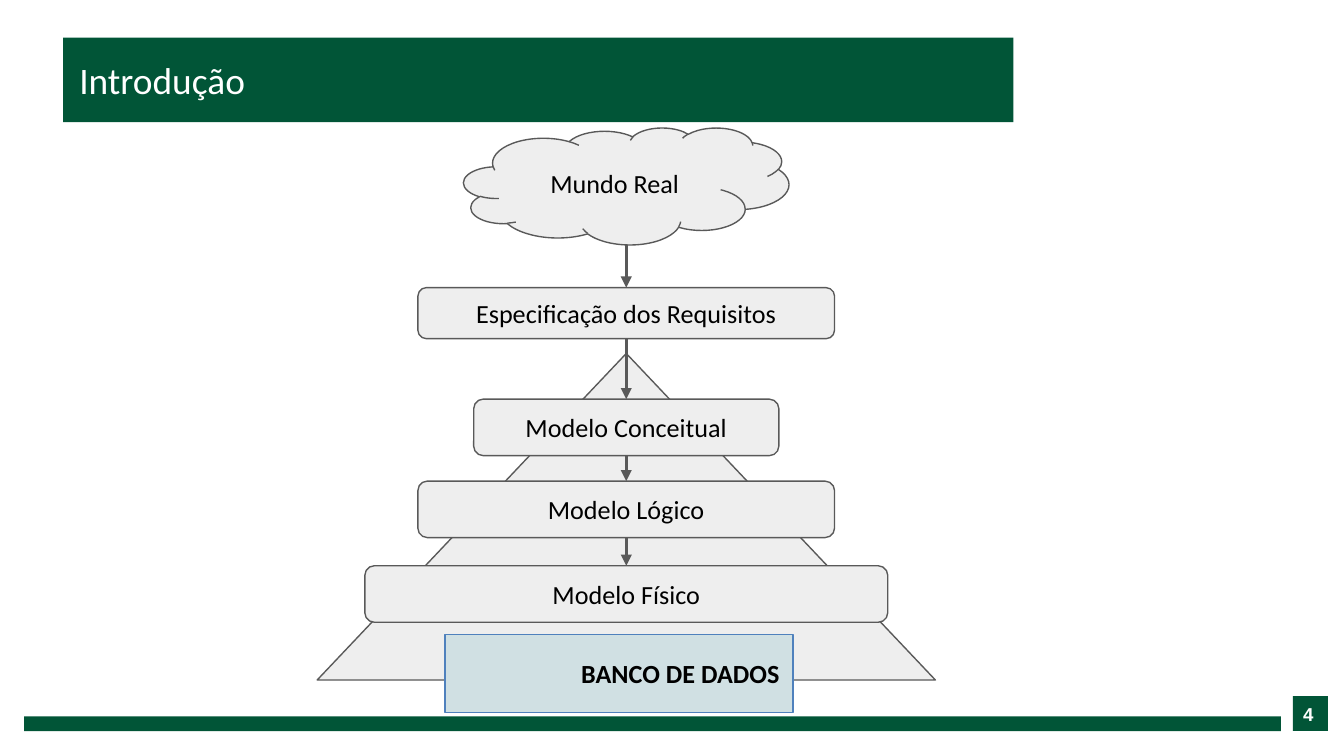
"""Build the slide showing the path from the real world to the database."""
from itertools import pairwise

from lxml.etree import SubElement
from pptx import Presentation
from pptx.dml.color import RGBColor
from pptx.enum.shapes import MSO_CONNECTOR, MSO_SHAPE
from pptx.enum.text import MSO_ANCHOR, PP_ALIGN
from pptx.oxml.ns import qn
from pptx.util import Inches, Pt

COLORS = {
    "green": "015537",
    "gray": "EEEEEE",
    "outline": "595959",
    "pale_blue": "D0E0E3",
    "blue": "4F81BD",
    "white": "FFFFFF",
    "black": "000000",
}
AXIS = 4.66

prs = Presentation()
prs.slide_width = Inches(10)
prs.slide_height = Inches(10 * 9 / 16)
slide = prs.slides.add_slide(prs.slide_layouts[6])


def add_block(kind, box, fill, line=None):
    block = slide.shapes.add_shape(kind, *map(Inches, box))
    block.shadow.inherit = False
    block.fill.solid()
    block.fill.fore_color.rgb = RGBColor.from_string(COLORS[fill])
    if line:
        block.line.color.rgb = RGBColor.from_string(COLORS[line])
        block.line.width = Pt(0.75)
    else:
        block.line.fill.background()
    return block


def write(block, text, align=PP_ALIGN.CENTER, color="black", inset=0.1, **font):
    frame = block.text_frame
    frame.word_wrap = True
    frame.vertical_anchor = MSO_ANCHOR.MIDDLE
    for side in ("left", "top", "right", "bottom"):
        setattr(frame, f"margin_{side}", Inches(inset))
    paragraph = frame.paragraphs[0]
    paragraph.text = text
    paragraph.alignment = align
    for key, value in ({"name": "Calibri", "size": Pt(14), "bold": False} | font).items():
        setattr(paragraph.font, key, value)
    paragraph.font.color.rgb = RGBColor.from_string(COLORS[color])


pyramid = add_block(MSO_SHAPE.FLOWCHART_MERGE, (2.36, 2.63, 4.6, 2.43), "gray", "outline")
pyramid.rotation = 180

title = add_block(MSO_SHAPE.RECTANGLE, (0.47, 0.28, 7.07, 0.63), "green")
write(title, "Introdução", PP_ALIGN.LEFT, "white", 0.12, size=Pt(20))

add_block(MSO_SHAPE.RECTANGLE, (0.18, 5.33, 9.35, 0.11), "green")
add_block(MSO_SHAPE.RECTANGLE, (9.62, 5.18, 0.26, 0.26), "green")
page_number = slide.shapes.add_textbox(*map(Inches, (9.53, 5.22, 0.41, 0.18)))
write(page_number, "4", color="white", name="Arial", size=Pt(10), bold=True)

real_world = add_block(MSO_SHAPE.CLOUD, (3.45, 0.95, 2.42, 0.87), "gray", "outline")
write(real_world, "Mundo Real")

stages = [real_world]
for label, top, width, height in (
    ("Especificação dos Requisitos", 2.14, 3.1, 0.38),
    ("Modelo Conceitual", 2.97, 2.27, 0.42),
    ("Modelo Lógico", 3.58, 3.1, 0.42),
    ("Modelo Físico", 4.21, 3.89, 0.42),
):
    box = (AXIS - width / 2, top, width, height)
    stage = add_block(MSO_SHAPE.ROUNDED_RECTANGLE, box, "gray", "outline")
    write(stage, label)
    stages.append(stage)

database = add_block(MSO_SHAPE.RECTANGLE, (3.31, 4.72, 2.59, 0.58), "pale_blue", "blue")
write(database, "BANCO DE DADOS", PP_ALIGN.RIGHT, bold=True)

for source, target in pairwise(stages):
    arrow = slide.shapes.add_connector(
        MSO_CONNECTOR.STRAIGHT, Inches(AXIS), source.top + source.height, Inches(AXIS), target.top
    )
    if source is not real_world:
        arrow.begin_connect(source, 2)
    arrow.end_connect(target, 0)
    arrow.line.color.rgb = RGBColor.from_string(COLORS["outline"])
    arrow.line.width = Pt(1.5)
    SubElement(arrow.line._get_or_add_ln(), qn("a:tailEnd"), type="triangle")
    SubElement(arrow._element.spPr, qn("a:effectLst"))

prs.save("out.pptx")
